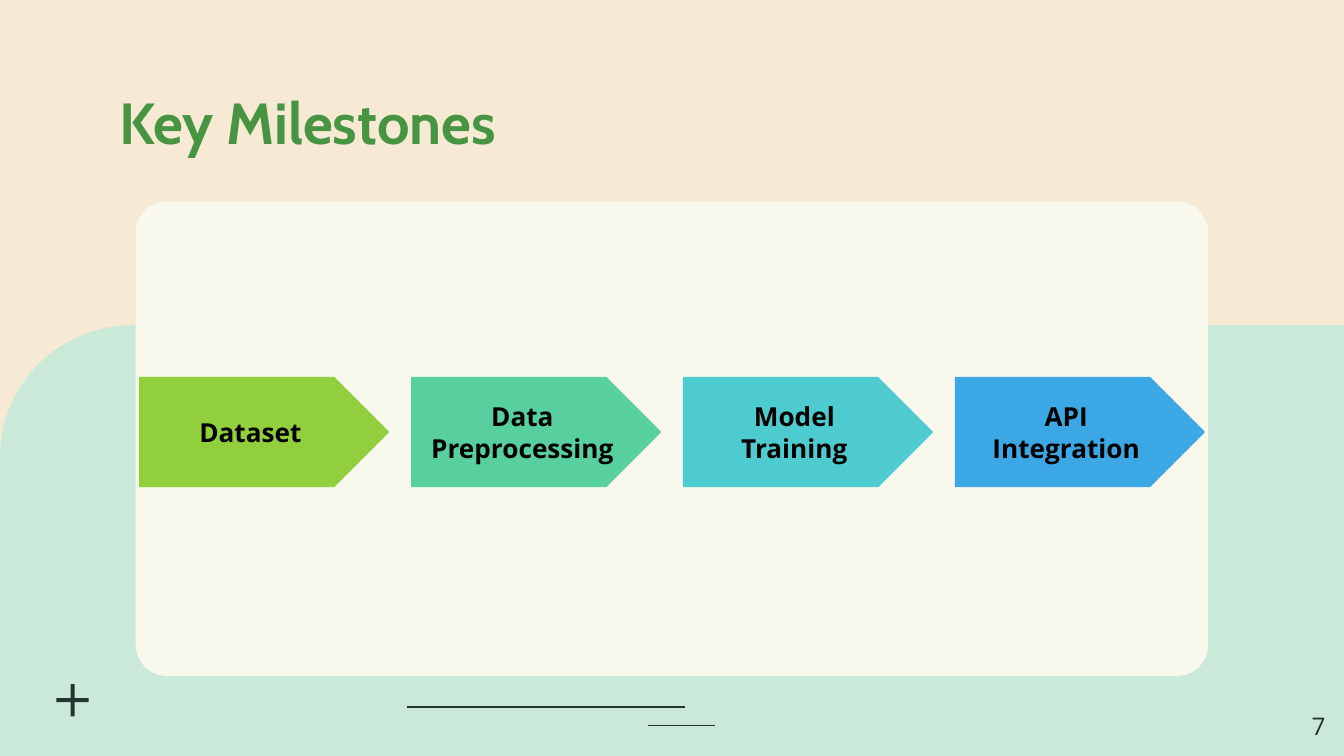
from pptx import Presentation
from pptx.dml.color import RGBColor
from pptx.enum import shapes, text
from pptx.oxml import ns
from pptx.util import Inches, Pt

WIDE = 10
HIGH = WIDE * 9 / 16
HUES = {"sand": "F6EAD4", "mint": "CAE9D9", "cream": "F8F8EC", "ink": "233634",
        "title": "479442", "black": "000000", "lime": "92CF3D",
        "green": "58CF9E", "teal": "4ECBCF", "blue": "3BA7E4"}
STEPS = [("Dataset", "lime"), ("Data Preprocessing", "green"),
         ("Model\nTraining", "teal"), ("API Integration", "blue")]
KIND = shapes.MSO_SHAPE


def rgb(hue):
    """Return the named colour."""
    return RGBColor.from_string(HUES[hue])


def add_form(slide, kind, box, hue, adj=None):
    """Add a filled shape without outline or shadow."""
    form = slide.shapes.add_shape(kind, *map(Inches, box))
    form.shadow.inherit = False
    form.fill.solid()
    form.fill.fore_color.rgb = rgb(hue)
    form.line.fill.background()
    if adj is not None:
        form.adjustments[0] = adj
    return form


def set_text(shape, words, size, font, hue, align, bold=False,
             anchor=text.MSO_ANCHOR.MIDDLE):
    """Fill a shape with evenly styled text."""
    frame = shape.text_frame
    frame.word_wrap = True
    frame.vertical_anchor = anchor
    frame.margin_left = frame.margin_right = Inches(0.1)
    frame.margin_top = frame.margin_bottom = Inches(0.1)
    frame.text = words
    for para in frame.paragraphs:
        para.alignment = align
        for run in para.runs:
            run.font.size = Pt(size)
            run.font.name = font
            run.font.bold = bold
            run.font.color.rgb = rgb(hue)


def add_rule(slide, start, end, top):
    """Draw a thin level line."""
    line = slide.shapes.add_connector(
        shapes.MSO_CONNECTOR.STRAIGHT,
        *map(Inches, (start, top, end, top)))
    line.line.color.rgb = rgb("ink")
    line.line.width = Pt(0.75)
    props = line._element.spPr
    props.append(props.makeelement(ns.qn("a:effectLst"), {}))


def add_plus(slide, box):
    """Cross two thin bars inside the box."""
    left, top, wide, high = box
    bar = 0.03
    add_form(slide, KIND.RECTANGLE,
             (left, top + (high - bar) / 2, wide, bar), "ink")
    add_form(slide, KIND.RECTANGLE,
             (left + (wide - bar) / 2, top, bar, high), "ink")


def add_decor(slide, box):
    """Lay the hill, the card and the small marks in the box."""
    left, top, wide, high = box
    hill = add_form(slide, KIND.ROUND_1_RECTANGLE,
                    (left, top + 2.42, wide, high - 2.42), "mint", 0.307)
    hill._element.spPr.find(ns.qn("a:xfrm")).set("flipH", "1")
    add_form(slide, KIND.ROUNDED_RECTANGLE,
             (left + 1.01, top + 1.5, wide - 2.02, 3.53), "cream", 0.066)
    add_rule(slide, left + 5.1, left + 3.03, top + 5.26)
    add_rule(slide, left + 5.32, left + 4.82, top + 5.4)
    add_plus(slide, (left + 0.42, top + 5.09, 0.24, 0.24))


def add_label(slide, box, words, size, font, hue, align, **style):
    """Place a text box."""
    label = slide.shapes.add_textbox(*map(Inches, box))
    set_text(label, words, size, font, hue, align, **style)


def add_steps(slide, box):
    """Spread the milestone arrows evenly across the box."""
    left, top, wide, high = box
    size = 1.85
    pitch = (wide - size) / (len(STEPS) - 1)
    for i, (words, hue) in enumerate(STEPS):
        step = add_form(slide, KIND.PENTAGON,
                        (left + i * pitch, top, size, high), hue, 0.5)
        step.line.color.rgb = rgb(hue)
        step.line.width = Pt(0.75)
        set_text(step, words, 14, "Open Sans", "black",
                 text.PP_ALIGN.CENTER, bold=True)


def main():
    """Build and save the slide."""
    deck = Presentation()
    deck.slide_width, deck.slide_height = Inches(WIDE), Inches(HIGH)
    slide = deck.slides.add_slide(deck.slide_layouts[6])
    slide.background.fill.solid()
    slide.background.fill.fore_color.rgb = rgb("sand")
    add_decor(slide, (0, 0, WIDE, HIGH))
    add_label(slide, (0.79, 0.59, 8.43, 0.62), "Key Milestones", 31,
              "Cabin", "title", text.PP_ALIGN.LEFT, bold=True)
    add_steps(slide, (1.04, 2.81, 7.92, 0.81))
    add_label(slide, (9.36, 5.19, 0.6, 0.43), "7", 13, "Open Sans", "ink",
              text.PP_ALIGN.RIGHT, anchor=text.MSO_ANCHOR.TOP)
    deck.save("out.pptx")


if __name__ == "__main__":
    main()
